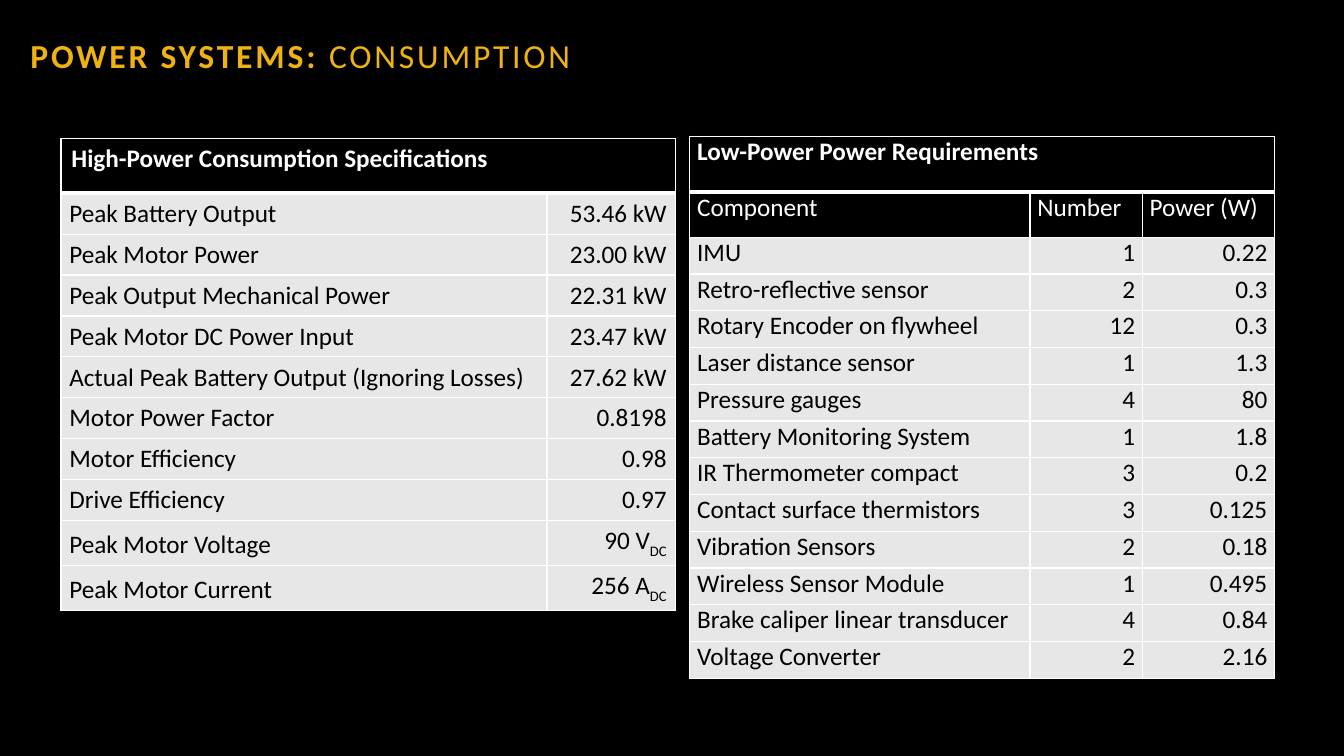
"""Build the power consumption slide with its high-power and low-power tables."""
from lxml.etree import SubElement
from pptx import Presentation
from pptx.dml.color import RGBColor
from pptx.enum.text import MSO_ANCHOR, PP_ALIGN
from pptx.oxml import parse_xml
from pptx.oxml.ns import nsdecls
from pptx.util import Pt

PX = 9525
BLACK = RGBColor(0x00, 0x00, 0x00)
WHITE = RGBColor(0xFF, 0xFF, 0xFF)
GOLD = RGBColor(0xEE, 0xB2, 0x11)
GRAY = RGBColor(0xE7, 0xE7, 0xE7)

HIGH_POWER = [
    ("High-Power Consumption Specifications", ""),
    ("Peak Battery Output", "53.46 kW"),
    ("Peak Motor Power", "23.00 kW"),
    ("Peak Output Mechanical Power", "22.31 kW"),
    ("Peak Motor DC Power Input", "23.47 kW"),
    ("Actual Peak Battery Output (Ignoring Losses)", "27.62 kW"),
    ("Motor Power Factor", "0.8198"),
    ("Motor Efficiency", "0.98"),
    ("Drive Efficiency", "0.97"),
    ("Peak Motor Voltage", "90 V_DC"),
    ("Peak Motor Current", "256 A_DC"),
]
LOW_POWER = [
    ("Low-Power Power Requirements", "", ""),
    ("Component", "Number", "Power (W)"),
    ("IMU", "1", "0.22"),
    ("Retro-reflective sensor", "2", "0.3"),
    ("Rotary Encoder on flywheel", "12", "0.3"),
    ("Laser distance sensor", "1", "1.3"),
    ("Pressure gauges", "4", "80"),
    ("Battery Monitoring System", "1", "1.8"),
    ("IR Thermometer compact", "3", "0.2"),
    ("Contact surface thermistors", "3", "0.125"),
    ("Vibration Sensors", "2", "0.18"),
    ("Wireless Sensor Module", "1", "0.495"),
    ("Brake caliper linear transducer", "4", "0.84"),
    ("Voltage Converter", "2", "2.16"),
]
TABLES = [
    {"rows": HIGH_POWER, "at": (58, 132), "widths": (463, 122),
     "heights": [52] + [39] * 10, "head_rows": 1, "anchor": MSO_ANCHOR.BOTTOM,
     "head_margins": (10, 5), "body_margins": (8, 5)},
    {"rows": LOW_POWER, "at": (657, 130), "widths": (324, 107, 126),
     "heights": [53, 43] + [35] * 12, "head_rows": 2, "anchor": MSO_ANCHOR.TOP,
     "head_margins": (7, 0), "body_margins": (7, 0)},
]


def add_span(para, text, size, color, bold):
    span = para.add_run()
    span.text = text
    span.font.color.rgb = color
    for name, value in {"name": "Calibri", "size": Pt(size), "bold": bold}.items():
        setattr(span.font, name, value)
    return span._r.get_or_add_rPr()


def add_borders(cell, widths):
    properties = cell._tc.get_or_add_tcPr()
    for index, (side, width) in enumerate(widths.items()):
        line = parse_xml(f'<a:ln{side} {nsdecls("a")} w="{Pt(width)}"><a:solidFill>'
                         f'<a:srgbClr val="{WHITE}"/></a:solidFill></a:ln{side}>')
        properties.insert(index, line)


deck = Presentation()
deck.slide_width, deck.slide_height = 1280 * PX, 720 * PX
page = deck.slides.add_slide(deck.slide_layouts[6])
page.background.fill.solid()
page.background.fill.fore_color.rgb = BLACK

title = page.shapes.add_textbox(0, 0, 807 * PX, 104 * PX).text_frame
title_format = {"word_wrap": True, "vertical_anchor": MSO_ANCHOR.MIDDLE,
                "margin_left": 29 * PX, "margin_right": 10 * PX,
                "margin_top": 5 * PX, "margin_bottom": 5 * PX}
for name, value in title_format.items():
    setattr(title, name, value)
for text, bold in (("POWER SYSTEMS:", True), (" CONSUMPTION", False)):
    add_span(title.paragraphs[0], text, 24, GOLD, bold).set("spc", "200")

for layout in TABLES:
    rows, widths, heights = layout["rows"], layout["widths"], layout["heights"]
    left, top = layout["at"]
    table = page.shapes.add_table(len(rows), len(widths), left * PX, top * PX,
                                  sum(widths) * PX, sum(heights) * PX).table
    table.first_row = table.horz_banding = False
    for column, width in zip(table.columns, widths):
        column.width = width * PX
    for row, height in zip(table.rows, heights):
        row.height = height * PX
    table.cell(0, 0).merge(table.cell(0, len(widths) - 1))

    for row_index, values in enumerate(rows):
        is_head = row_index < layout["head_rows"]
        side, edge = layout["head_margins" if is_head else "body_margins"]
        cell_format = {"margin_left": side * PX, "margin_right": side * PX,
                       "margin_top": edge * PX, "margin_bottom": edge * PX,
                       "vertical_anchor": MSO_ANCHOR.TOP if is_head else layout["anchor"]}
        for column_index, value in enumerate(values):
            cell = table.cell(row_index, column_index)
            for name, setting in cell_format.items():
                setattr(cell, name, setting)
            cell.fill.solid()
            cell.fill.fore_color.rgb = BLACK if is_head else GRAY
            add_borders(cell, {"L": 1, "R": 1, "T": 3 if row_index == 1 else 1,
                               "B": 3 if row_index == 0 else 1})
            para = cell.text_frame.paragraphs[0]
            if column_index and not is_head:
                para.alignment = PP_ALIGN.RIGHT
            color = WHITE if is_head else BLACK
            main, _, subscript = value.partition("_")
            if main:
                add_span(para, main, 18, color, row_index == 0)
            if subscript:
                add_span(para, subscript, 18, color, False).set("baseline", "-25000")

deck.save("out.pptx")
